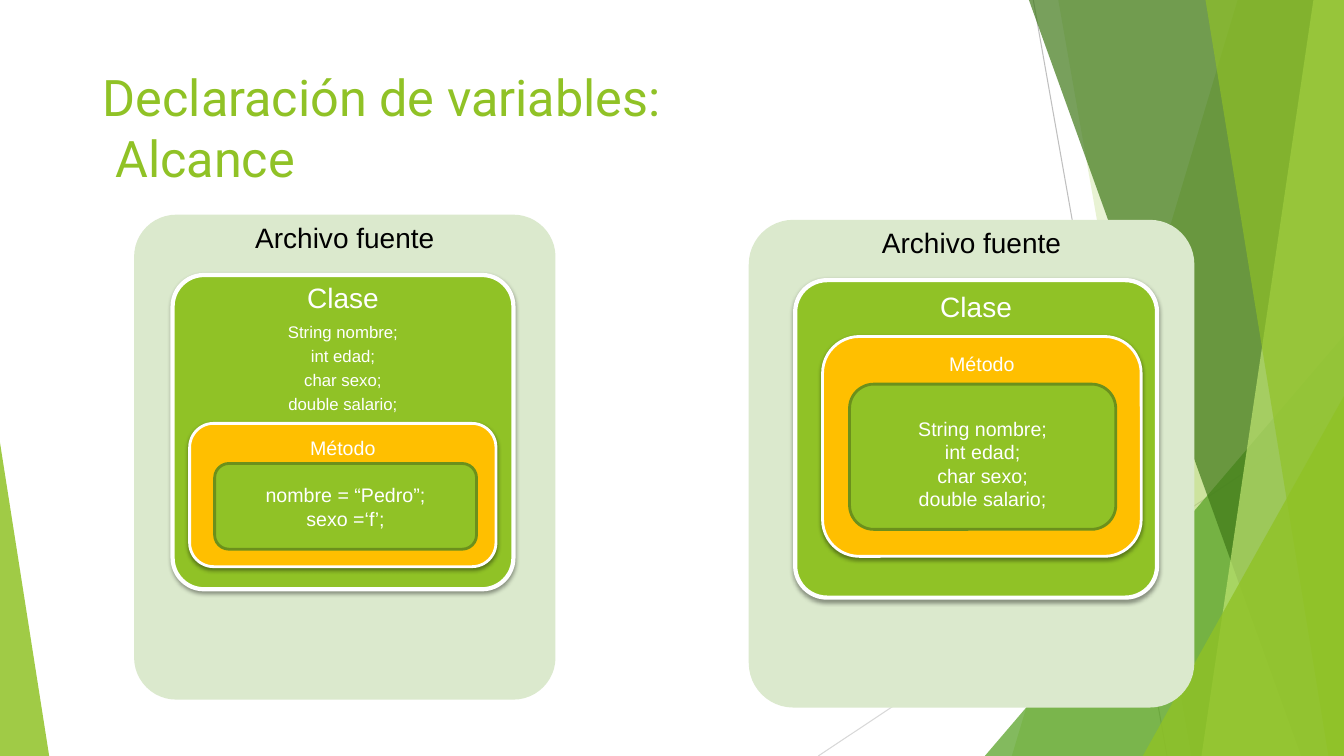
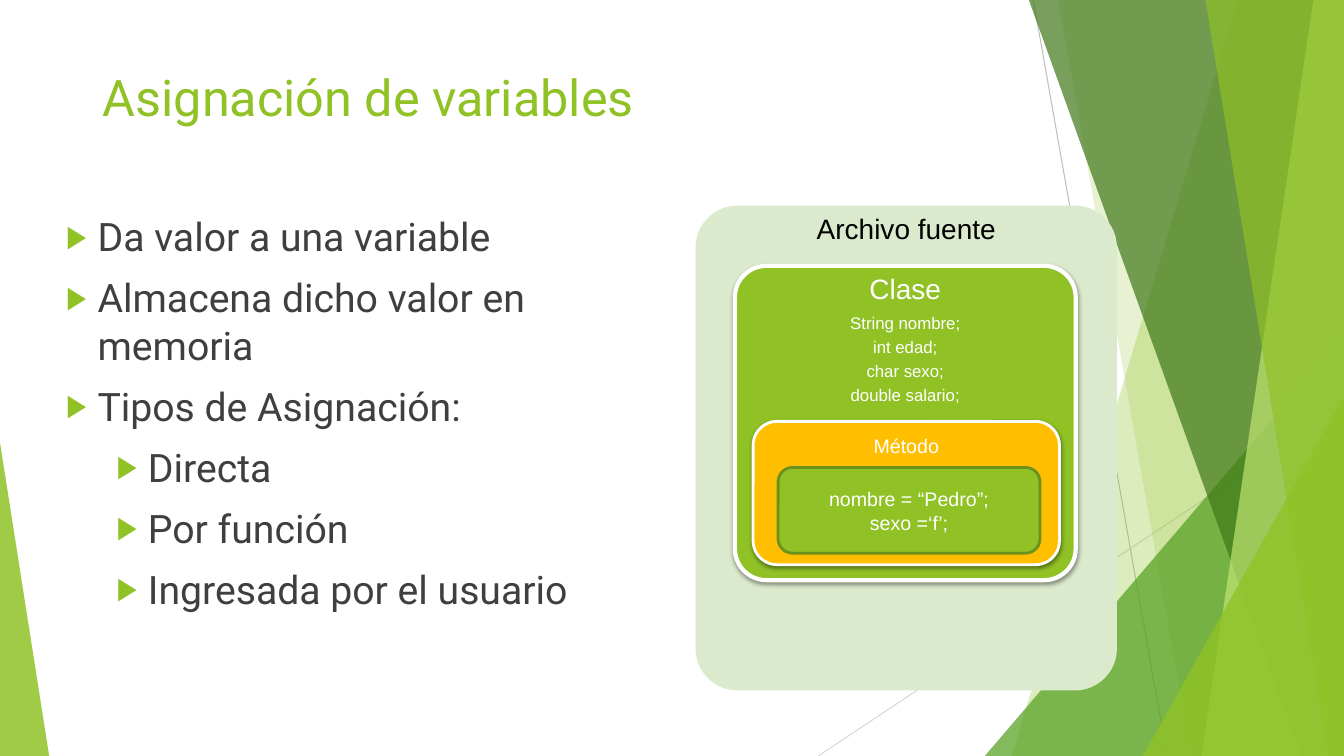
"""Build two slides on the scope and assignment of variables."""
from lxml.etree import SubElement
from pptx import Presentation
from pptx.dml.color import RGBColor
from pptx.enum.shapes import MSO_CONNECTOR, MSO_SHAPE
from pptx.enum.text import MSO_ANCHOR, PP_ALIGN
from pptx.oxml.ns import qn
from pptx.util import Cm, Pt

GREEN = RGBColor(0x90, 0xC2, 0x26)
MID_GREEN = RGBColor(0x54, 0xA0, 0x21)
DARK_GREEN = RGBColor(0x3F, 0x78, 0x18)
LIME = RGBColor(0xBF, 0xE4, 0x71)
PALE_GREEN = RGBColor(0xDB, 0xE9, 0xCD)
EDGE_GREEN = RGBColor(0x6B, 0x90, 0x1C)
AMBER = RGBColor(0xFF, 0xBF, 0x00)
WHITE = RGBColor(0xFF, 0xFF, 0xFF)
BLACK = RGBColor(0x00, 0x00, 0x00)
INK = RGBColor(0x3F, 0x3F, 0x3F)
GRAY = RGBColor(0xBF, 0xBF, 0xBF)
LIGHT_GRAY = RGBColor(0xD8, 0xD8, 0xD8)

WIDTH, HEIGHT = 33.87, 19.05

RAYS = [(26.04, 0, 29.41, HEIGHT, GRAY), (WIDTH, 10.24, 20.62, HEIGHT, LIGHT_GRAY)]

FACETS = [
    ((31.19, 25.5), GREEN, 30),
    ((26.67, 30.02), GREEN, 20),
    ((24.82, 8.46, 9.05, 1), MID_GREEN, 72),
    ((25.93, 32.79), DARK_GREEN, 70),
    ((33.1, 30.28), LIME, 70),
    ((30.38, 33.48), GREEN, 65),
    ((28.8, 9.98, 5.07, 1), GREEN, 80),
    ((0, 11.15, 1.24, 0), GREEN, 85),
]

FIELDS = ["String nombre;", "int edad;", "char sexo;", "double salario;"]
VALUES = ["nombre = “Pedro”;", "sexo =‘f’;"]
BULLETS = [
    ("Da valor a una variable", 0),
    ("Almacena dicho valor en memoria", 0),
    ("Tipos de Asignación:", 0),
    ("Directa", 1),
    ("Por función", 1),
    ("Ingresada por el usuario", 1),
]

TITLES = ["Declaración de variables:\v Alcance", "Asignación de variables"]

DIAGRAMS = [
    (0, (18.87, 5.54),
     [(0, 0, 11.23, 12.29), (1.17, 1.52, 9.12, 8), (1.86, 2.94, 8.03, 5.54), (2.54, 4.14, 6.71, 3.66)],
     [], FIELDS, (0, 0.09, 0.12, 0.48)),
    (0, (3.38, 5.41),
     [(0, 0, 10.62, 12.22), (0.97, 1.52, 8.59, 7.92), (1.4, 5.26, 7.72, 3.61), (2.03, 6.27, 6.6, 2.16)],
     FIELDS, VALUES, (0, 0, 0.13, 0.15)),
    (1, (17.53, 5.18),
     [(0, 0, 10.62, 12.22), (0.99, 1.52, 8.59, 7.92), (1.45, 5.44, 7.72, 3.61), (2.08, 6.6, 6.6, 2.16)],
     FIELDS, VALUES, (0, 0, 0.15, 0.15)),
]

STYLES = [
    (PALE_GREEN, None, 0, 0.1, False, MSO_ANCHOR.TOP),
    (GREEN, WHITE, 3, 0.1, True, MSO_ANCHOR.TOP),
    (AMBER, WHITE, 2, 0.167, True, MSO_ANCHOR.TOP),
    (GREEN, EDGE_GREEN, 2, 0.167, False, MSO_ANCHOR.MIDDLE),
]


def add_text(tf, text, size=14, color=WHITE, font="Arial", align=PP_ALIGN.CENTER,
             spacing=None, before=0, after=0):
    p = tf.paragraphs[0]
    if p.runs:
        p = tf.add_paragraph()
    p.text = text
    p.alignment = align
    p.line_spacing = spacing
    p.space_before, p.space_after = Pt(before), Pt(after)
    for r in p.runs:
        r.font.size, r.font.name = Pt(size), font
        r.font.color.rgb = color
    return p


def add_text_box(s, x, y, w, h):
    tf = s.shapes.add_textbox(Cm(x), Cm(y), Cm(w), Cm(h)).text_frame
    tf.word_wrap = True
    tf.margin_left = tf.margin_right = tf.margin_top = tf.margin_bottom = Cm(0.25)
    return tf


prs = Presentation()
prs.slide_width, prs.slide_height = Cm(WIDTH), Cm(HEIGHT)

for title in TITLES:
    s = prs.slides.add_slide(prs.slide_layouts[6])
    for x1, y1, x2, y2, color in RAYS:
        ray = s.shapes.add_connector(MSO_CONNECTOR.STRAIGHT, Cm(x1), Cm(y1), Cm(x2), Cm(y2))
        ray.line.color.rgb = color
        ray.line.width = Pt(0.75)
        SubElement(ray._element.spPr, qn("a:effectLst"))
    for geometry, color, opacity in FACETS:
        if len(geometry) == 2:
            top_x, bottom_x = geometry
            fb = s.shapes.build_freeform(Cm(top_x), 0)
            corners = [(WIDTH, 0), (WIDTH, HEIGHT), (bottom_x, HEIGHT)]
            fb.add_line_segments([(Cm(x), Cm(y)) for x, y in corners], close=True)
            sp = fb.convert_to_shape()
        else:
            x, y, w, apex = geometry
            sp = s.shapes.add_shape(MSO_SHAPE.ISOSCELES_TRIANGLE, Cm(x), Cm(y), Cm(w), Cm(HEIGHT - y))
            sp.adjustments[0] = apex
        sp.shadow.inherit = False
        sp.fill.solid()
        sp.fill.fore_color.rgb = color
        sp.line.fill.background()
        clr = sp._element.spPr.find(".//" + qn("a:srgbClr"))
        SubElement(clr, qn("a:alpha"), val=str(opacity * 1000))
    add_text(add_text_box(s, 2.34, 1.42, 23.88, 3.66), title, size=36, color=GREEN,
             font="Roboto", align=PP_ALIGN.LEFT)

for index, (left, top), boxes, fields, code, insets in DIAGRAMS:
    s = prs.slides[index]
    frames = []
    for (x, y, w, h), style, inset in zip(boxes, STYLES, insets):
        fill, line, line_width, corner, shadow, anchor = style
        sp = s.shapes.add_shape(MSO_SHAPE.ROUNDED_RECTANGLE, Cm(left + x), Cm(top + y), Cm(w), Cm(h))
        sp.adjustments[0] = corner
        sp.fill.solid()
        sp.fill.fore_color.rgb = fill
        if line is None:
            sp.line.fill.background()
        else:
            sp.line.color.rgb = line
            sp.line.width = Pt(line_width)
        sp.shadow.inherit = False
        if shadow:
            effects = sp._element.spPr.find(qn("a:effectLst"))
            outer = SubElement(effects, qn("a:outerShdw"), blurRad=str(Pt(3.1)), dist=str(Pt(1.6)),
                               dir="5400000", algn="ctr", rotWithShape="0")
            clr = SubElement(outer, qn("a:srgbClr"), val=str(BLACK))
            SubElement(clr, qn("a:alpha"), val="38000")
        tf = sp.text_frame
        tf.word_wrap = True
        tf.vertical_anchor = anchor
        tf.margin_top, tf.margin_bottom = Cm(inset), Cm(0.13)
        frames.append(tf)
    class_, method, body = frames[1:]
    source = add_text_box(s, left, top, boxes[0][2], 1.4)
    add_text(source, "Archivo fuente", size=20, color=BLACK, spacing=0.9)
    add_text(class_, "Clase", size=20, spacing=0.9, after=7)
    for field in fields:
        add_text(class_, field, size=12, spacing=0.9, after=4.2)
    add_text(method, "Método")
    for statement in code:
        add_text(body, statement)

tf = add_text_box(prs.slides[1], 1.17, 5.11, 15.65, 12.22)
for text, level in BULLETS:
    p = add_text(tf, text, size=28, color=INK, font="Roboto", align=PP_ALIGN.LEFT, before=10)
    p.level = level
    pPr = p._p.get_or_add_pPr()
    pPr.set("marL", str(Cm(1.04 + 1.27 * level)))
    pPr.set("indent", str(Cm(-0.79)))
    SubElement(SubElement(pPr, qn("a:buClr")), qn("a:srgbClr"), val=str(GREEN))
    SubElement(pPr, qn("a:buSzPct"), val="80000")
    SubElement(pPr, qn("a:buFont"), typeface="Arial")
    SubElement(pPr, qn("a:buChar"), char="▶")

prs.save("out.pptx")
